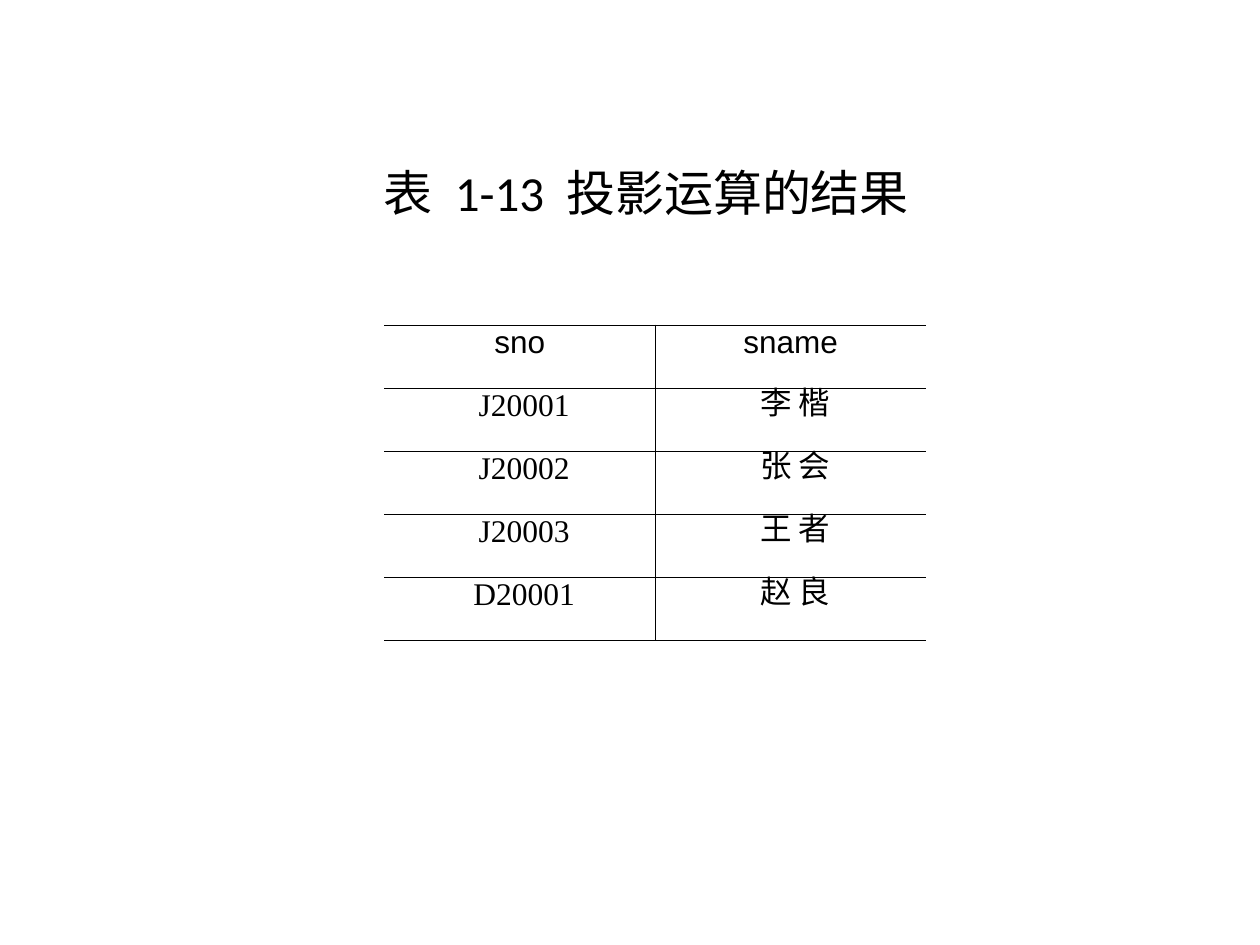
"""Build the slide showing the result of a projection in a two-column table."""
from typing import Any, NamedTuple

from lxml import etree
from pptx import Presentation
from pptx.dml.color import RGBColor
from pptx.enum.text import MSO_ANCHOR, MSO_AUTO_SIZE, PP_ALIGN
from pptx.oxml.ns import qn
from pptx.util import Inches, Pt

CENTER = PP_ALIGN.CENTER
MIDDLE = MSO_ANCHOR.MIDDLE
NO_AUTOFIT = MSO_AUTO_SIZE.NONE
TITLE_ONLY = 5
BLACK = "000000"
RULE_WIDTH = Pt(0.45)
ROW_HEIGHT = Inches(0.5)
COLUMN_WIDTH = Inches(2.15)
CAPTION_WORDS = ("表", "1-13", "投影运算的结果")
CAPTION_GAP = 630


class Student(NamedTuple):
    sno: str
    sname: str
    font: str = "Times New Roman"
    indent: float = 0.07


STUDENTS = (
    Student("sno", "sname", "Arial", 0),
    Student("J20001", "李 楷"),
    Student("J20002", "张 会"),
    Student("J20003", "王 者"),
    Student("D20001", "赵 良"),
)


def apply(target: Any, values: dict[str, Any]) -> None:
    for name, value in values.items():
        setattr(target, name, value)


def style_font(font: Any, name: str, size: int, color: str) -> None:
    apply(font, {"name": name, "size": Pt(size), "bold": False})
    font.color.rgb = RGBColor.from_string(color)


def add_caption(slide: Any) -> None:
    caption = slide.shapes.title
    apply(caption, {"left": Inches(0.67), "top": Inches(1.22),
                    "width": Inches(8.92), "height": Inches(0.6)})
    apply(caption.text_frame, {"word_wrap": True, "auto_size": NO_AUTOFIT,
                               "vertical_anchor": MIDDLE})
    paragraph = caption.text_frame.paragraphs[0]
    paragraph.alignment = CENTER
    for word in " ".join(CAPTION_WORDS).partition(" ")[:1]:
        add_caption_run(paragraph, word)
    for word in CAPTION_WORDS[1:]:
        gap = add_caption_run(paragraph, " ")
        gap.font._element.set("spc", str(CAPTION_GAP))
        add_caption_run(paragraph, word)


def add_caption_run(paragraph: Any, text: str) -> Any:
    run = paragraph.add_run()
    run.text = text
    style_font(run.font, "Calibri", 28, BLACK)
    return run


def rule_cell(cell: Any, ruled_sides: str) -> None:
    properties = cell._tc.get_or_add_tcPr()
    for side in "LRTB":
        line = etree.SubElement(properties, qn(f"a:ln{side}"), w=str(RULE_WIDTH))
        if side in ruled_sides:
            fill = etree.SubElement(line, qn("a:solidFill"))
            etree.SubElement(fill, qn("a:srgbClr"), val=BLACK)
        else:
            etree.SubElement(line, qn("a:noFill"))
    cell.fill.background()


def fill_cell(cell: Any, text: str, student: Student) -> None:
    apply(cell, {"text": text, "margin_left": Inches(0.08), "margin_right": Inches(0.08),
                 "margin_top": Inches(0.05), "margin_bottom": Inches(0.05)})
    paragraph = cell.text_frame.paragraphs[0]
    apply(paragraph, {"alignment": CENTER, "line_spacing": Pt(16.6)})
    if student.indent:
        paragraph._p.get_or_add_pPr().set("marL", str(Inches(student.indent)))
    style_font(paragraph.runs[0].font, student.font, 18, BLACK)


def add_student_table(slide: Any) -> None:
    table = slide.shapes.add_table(
        len(STUDENTS), 2, Inches(3.05), Inches(2.58),
        2 * COLUMN_WIDTH, len(STUDENTS) * ROW_HEIGHT).table
    apply(table, {"first_row": False, "horz_banding": False})
    for row, student in enumerate(STUDENTS):
        for column, (text, sides) in enumerate(((student.sno, "RTB"), (student.sname, "LTB"))):
            cell = table.cell(row, column)
            rule_cell(cell, sides)
            fill_cell(cell, text, student)


def main() -> None:
    presentation = Presentation()
    apply(presentation, {"slide_width": Inches(10), "slide_height": Inches(7.5)})
    slide = presentation.slides.add_slide(presentation.slide_layouts[TITLE_ONLY])
    add_caption(slide)
    add_student_table(slide)
    presentation.save("out.pptx")


if __name__ == "__main__":
    main()
